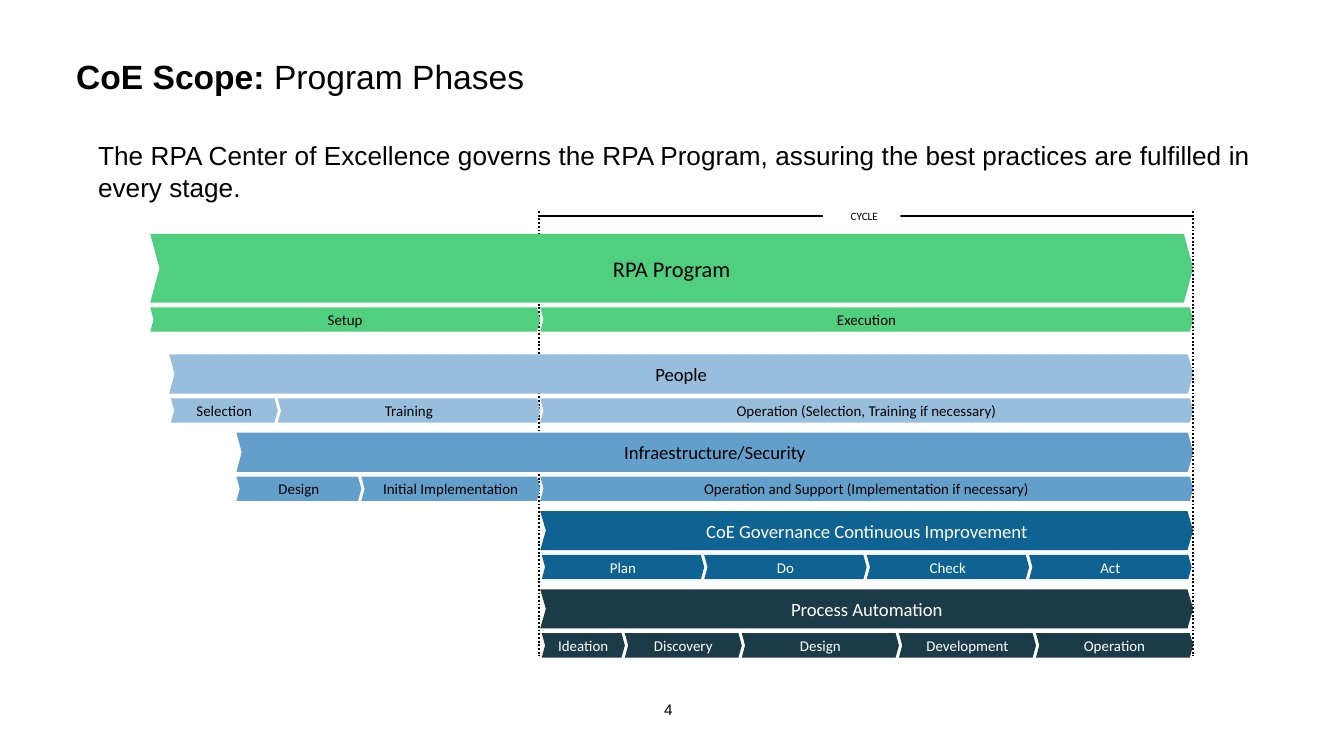
from dataclasses import dataclass
from itertools import pairwise
from typing import Any

import lxml.etree
import pptx
import pptx.dml.color
import pptx.enum.dml
import pptx.enum.shapes
import pptx.enum.text
import pptx.oxml.ns
import pptx.util

Cm = pptx.util.Cm
Pt = pptx.util.Pt
ALIGN = pptx.enum.text.PP_ALIGN
ANCHOR = pptx.enum.text.MSO_ANCHOR
AUTO_SIZE = pptx.enum.text.MSO_AUTO_SIZE
qn = pptx.oxml.ns.qn

BLACK, WHITE = "000000", "FFFFFF"
CYCLE_START, CYCLE_END = 10.21, 22.55
DOTTED_TOP, DOTTED_BOTTOM = 3.99, 12.4
CYCLE_Y = 4.09
STEP_HEIGHT, STEP_GAP = 0.46, 0.09
BAR_HEIGHT, FIRST_BAR_TOP, BAR_PITCH = 0.74, 6.7, 1.48
NO_MARGINS = dict(margin_left=0, margin_right=0, margin_top=0, margin_bottom=0)


@dataclass(frozen=True)
class Phase:
    """A wide bar and the steps below it; edges holds the step borders in cm."""
    name: str
    left: float
    top: float
    fill: str
    ink: str
    steps: tuple[str, ...]
    edges: tuple[float, ...]
    height: float = BAR_HEIGHT
    size: float = 10
    notch: float = 0.135


def bar_top(row: int) -> float:
    return FIRST_BAR_TOP + row * BAR_PITCH


PHASES = [
    Phase("RPA Program", 2.84, 4.42, "50D07E", BLACK, ("Setup", "Execution"),
          (2.84, CYCLE_START, CYCLE_END), height=1.3, size=12),
    Phase("People", 3.2, bar_top(0), "97BFDD", BLACK,
          ("Selection", "Training", "Operation (Selection, Training if necessary)"),
          (3.23, 5.25, CYCLE_START, CYCLE_END)),
    Phase("Infraestructure/Security", 4.47, bar_top(1), "639FCB", BLACK,
          ("Design", "Initial Implementation",
           "Operation and Support (Implementation if necessary)"),
          (4.47, 6.83, CYCLE_START, CYCLE_END)),
    Phase("CoE Governance Continuous Improvement", CYCLE_START, bar_top(2),
          "0E6392", WHITE, ("Plan", "Do", "Check", "Act"),
          tuple(10.24 + 3.07 * i for i in range(5)), notch=0.145),
    Phase("Process Automation", CYCLE_START, bar_top(3), "1A3B47", WHITE,
          ("Ideation", "Discovery", "Design", "Development", "Operation"),
          (10.24, 11.81, 14.02, 16.99, 19.58, CYCLE_END), notch=0.145),
]


def color(hex_value: str) -> pptx.dml.color.RGBColor:
    return pptx.dml.color.RGBColor.from_string(hex_value)


def apply_format(target: Any, values: dict[str, Any]) -> None:
    for name, value in values.items():
        setattr(target, name, value)


def box(left: float, top: float, width: float, height: float) -> dict[str, int]:
    return dict(left=Cm(left), top=Cm(top), width=Cm(width), height=Cm(height))


def add_run(paragraph: Any, text: str, size: float, font: str,
            ink: str = BLACK, bold: bool = False) -> None:
    run = paragraph.add_run()
    run.text = text
    apply_format(run.font, dict(size=Pt(size), name=font, bold=bold))
    run.font.color.rgb = color(ink)


def add_filled(shapes: Any, kind: Any, place: dict[str, int], fill: str) -> Any:
    shape = shapes.add_shape(kind, **place)
    shape.shadow.inherit = False
    shape.fill.solid()
    shape.fill.fore_color.rgb = color(fill)
    shape.line.fill.background()
    return shape


def add_chevron(shapes: Any, text: str, place: dict[str, int], phase: Phase,
                size: float, notch: float) -> None:
    chevron = add_filled(shapes, pptx.enum.shapes.MSO_SHAPE.CHEVRON, place, phase.fill)
    chevron.adjustments[0] = notch
    frame = chevron.text_frame
    apply_format(frame, NO_MARGINS | dict(word_wrap=True, vertical_anchor=ANCHOR.MIDDLE))
    frame.paragraphs[0].alignment = ALIGN.CENTER
    add_run(frame.paragraphs[0], text, size, "Calibri", phase.ink)


def add_phase(shapes: Any, phase: Phase) -> None:
    bar = box(phase.left, phase.top, CYCLE_END - phase.left, phase.height)
    add_chevron(shapes, phase.name, bar, phase, phase.size, phase.notch)
    step_top = phase.top + phase.height + STEP_GAP
    for step, (left, right) in zip(phase.steps, pairwise(phase.edges)):
        place = box(left, step_top, right - left, STEP_HEIGHT)
        add_chevron(shapes, step, place, phase, 8, 0.135)


def add_line(shapes: Any, x1: float, y1: float, x2: float, y2: float,
             dotted: bool = False) -> None:
    line = shapes.add_connector(pptx.enum.shapes.MSO_CONNECTOR.STRAIGHT,
                                Cm(x1), Cm(y1), Cm(x2), Cm(y2))
    line.line.width = Pt(1)
    line.line.color.rgb = color(BLACK)
    if dotted:
        line.line.dash_style = pptx.enum.dml.MSO_LINE.ROUND_DOT
    lxml.etree.SubElement(line._element.spPr, qn("a:effectLst"))


def add_cycle_label(shapes: Any) -> None:
    group = shapes.add_group_shape()
    add_filled(group.shapes, pptx.enum.shapes.MSO_SHAPE.RECTANGLE,
               box(15.55, 3.96, 1.47, 0.16), WHITE)
    label = group.shapes.add_textbox(**box(15.65, 3.84, 1.37, 0.6)).text_frame
    label.word_wrap = True
    label.paragraphs[0].alignment = ALIGN.CENTER
    add_run(label.paragraphs[0], "CYCLE", 6, "Calibri")


def fill_title(title: Any) -> None:
    apply_format(title, box(1.19, 0.81, 22.94, 1.27))
    margin = Cm(0.25)
    apply_format(title.text_frame, dict(
        margin_left=margin, margin_right=margin, margin_top=margin, margin_bottom=margin,
        vertical_anchor=ANCHOR.TOP, auto_size=AUTO_SIZE.NONE))
    heading = title.text_frame.paragraphs[0]
    heading.alignment = ALIGN.LEFT
    add_run(heading, "CoE Scope: ", 18, "Arial", bold=True)
    add_run(heading, "Program Phases", 18, "Arial")


def fill_summary(body: Any) -> None:
    apply_format(body, box(1.6, 2.51, 22.3, 1.45))
    apply_format(body.text_frame, dict(vertical_anchor=ANCHOR.TOP, auto_size=AUTO_SIZE.NONE))
    summary = body.text_frame.paragraphs[0]
    apply_format(summary, dict(alignment=ALIGN.JUSTIFY, space_before=Pt(0)))
    properties = summary._p.get_or_add_pPr()
    for name in ("marL", "indent"):
        properties.set(name, "0")
    lxml.etree.SubElement(properties, qn("a:buNone"))
    add_run(summary, "The RPA Center of Excellence governs the RPA Program, assuring "
            "the best practices are fulfilled in every stage.", 14, "Arial")


def add_page_number(shapes: Any) -> None:
    frame = shapes.add_textbox(**box(12.55, 13.23, 0.51, 0.36)).text_frame
    apply_format(frame, NO_MARGINS | dict(word_wrap=False))
    add_run(frame.paragraphs[0], "4", 8.2, "Arial")


def main() -> None:
    deck = pptx.Presentation()
    apply_format(deck, dict(slide_width=Cm(25.4), slide_height=Cm(14.29)))
    slide = deck.slides.add_slide(deck.slide_layouts[1])
    shapes = slide.shapes
    fill_title(shapes.title)
    fill_summary(slide.placeholders[1])
    add_page_number(shapes)
    add_line(shapes, CYCLE_START, CYCLE_Y, CYCLE_END, CYCLE_Y)
    add_line(shapes, 10.19, DOTTED_TOP, 10.19, DOTTED_BOTTOM, dotted=True)
    for phase in PHASES:
        add_phase(shapes, phase)
    add_line(shapes, CYCLE_END, DOTTED_TOP, CYCLE_END, DOTTED_BOTTOM, dotted=True)
    add_cycle_label(shapes)
    deck.save("out.pptx")


if __name__ == "__main__":
    main()
